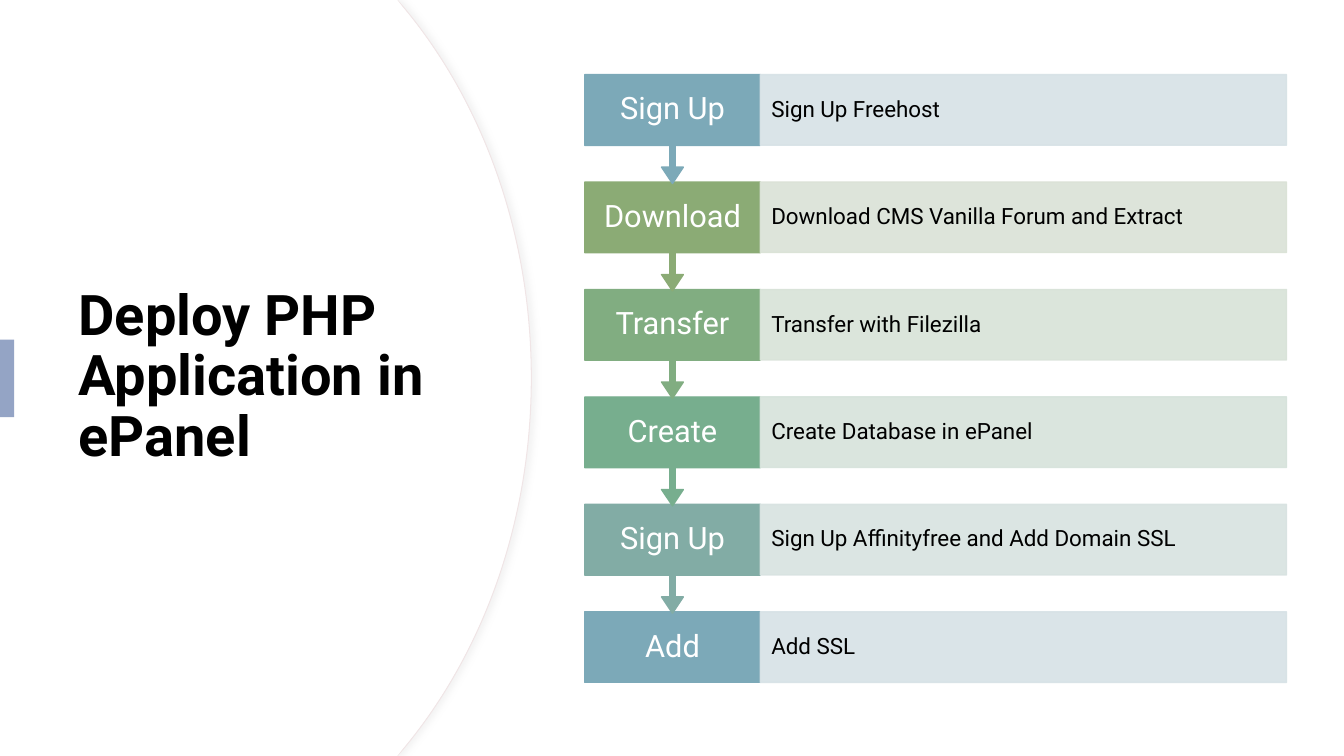
from lxml import etree
from pptx import Presentation
from pptx.dml.color import RGBColor
from pptx.enum import shapes, text
from pptx.oxml.ns import qn
from pptx.util import Inches, Pt

TITLE = "Deploy PHP Application in ePanel"
STEPS = [
    ("Sign Up", "Sign Up Freehost", "blue"),
    ("Download", "Download CMS Vanilla Forum and Extract", "olive"),
    ("Transfer", "Transfer with Filezilla", "green"),
    ("Create", "Create Database in ePanel", "mint"),
    ("Sign Up", "Sign Up Affinityfree and Add Domain SSL", "teal"),
    ("Add", "Add SSL", "blue"),
]
COLORS = {
    "blue": "7CA9B8", "olive": "8BAB75", "green": "81AD81", "mint": "77AE8E", "teal": "82ACA5",
    "blue_pale": "D7E2E6", "olive_pale": "DAE2D6", "green_pale": "D8E3D8",
    "mint_pale": "D6E3DB", "teal_pale": "D8E3E1",
    "white": "FFFFFF", "black": "000000", "accent": "94A4C5", "rim": "F0E5E6", "shadow": "D9D9D9",
}
FONT = "Roboto"
WIDTH, HEIGHT = 13.33, 7.5
STEP_LEFT, STEP_WIDTH, DETAIL_WIDTH = 5.8, 1.74, 5.22
FIRST_TOP, LAST_TOP, ROW_HEIGHT, CALLOUT_HEIGHT = 0.74, 6.07, 0.7, 1.08
CALLOUT_RATIOS = (0.05, 0.1, 0.15, 0.65)


def color(name):
    return RGBColor.from_string(COLORS[name])


def paint(shape, fill, line=None, width=1):
    shape.shadow.inherit = False
    shape.fill.solid()
    shape.fill.fore_color.rgb = color(fill)
    if line:
        shape.line.color.rgb = color(line)
        shape.line.width = Pt(width)
    else:
        shape.line.fill.background()


def add_block(page, kind, left, top, width, height, fill, line=None):
    block = page.shapes.add_shape(kind, Inches(left), Inches(top), Inches(width), Inches(height))
    paint(block, fill, line)
    return block


def write(box, words, size, ink, align, margins, bold=False):
    frame = box.text_frame
    frame.word_wrap = True
    frame.vertical_anchor = text.MSO_ANCHOR.MIDDLE
    frame.margin_left = frame.margin_right = Inches(margins[0])
    frame.margin_top = frame.margin_bottom = Inches(margins[1])
    para = frame.paragraphs[0]
    para.text = words
    para.alignment = align
    para.line_spacing = 0.9
    para.font.name = FONT
    para.font.size = Pt(size)
    para.font.bold = bold
    para.font.color.rgb = color(ink)


def make_translucent(shape, percent):
    for tint in shape._element.spPr.iter(qn("a:srgbClr")):
        etree.SubElement(tint, qn("a:alpha"), val=str(percent * 1000))


def add_soft_shadow(shape):
    effects = shape._element.spPr.find(qn("a:effectLst"))
    shadow = etree.SubElement(effects, qn("a:outerShdw"), blurRad=str(Pt(4)), dist=str(Pt(3)), dir="0")
    tint = etree.SubElement(shadow, qn("a:srgbClr"), val=COLORS["shadow"])
    etree.SubElement(tint, qn("a:alpha"), val="30000")


def bend(segment, controls):
    segment.tag = qn("a:cubicBezTo")
    for position, (x, y) in enumerate(controls):
        point = etree.Element(qn("a:pt"), x=str(Inches(x)), y=str(Inches(y)))
        segment.insert(position, point)


def add_dome(page, right):
    shoulder = right - 1.26
    outline = [(3.94, 0), (shoulder, 0.08), (right, HEIGHT / 2), (shoulder, HEIGHT - 0.08),
               (3.94, HEIGHT), (0, HEIGHT)]
    builder = page.shapes.build_freeform(0, 0)
    builder.add_line_segments([(Inches(x), Inches(y)) for x, y in outline], close=True)
    dome = builder.convert_to_shape()
    segments = list(dome._element.spPr.iter(qn("a:lnTo")))
    upper = [(right - 0.48, 1.02), (right, 2.32)]
    bend(segments[2], upper)
    bend(segments[3], [(x, HEIGHT - y) for x, y in reversed(upper)])
    return dome


def main():
    deck = Presentation()
    deck.slide_width, deck.slide_height = Inches(WIDTH), Inches(HEIGHT)
    page = deck.slides.add_slide(deck.slide_layouts[6])
    rect = shapes.MSO_SHAPE.RECTANGLE

    rim = add_dome(page, 5.27)
    paint(rim, "white", "rim", 0.75)
    add_soft_shadow(rim)
    paint(add_dome(page, 5.26), "white")

    title = page.shapes.add_textbox(Inches(0.68), Inches(1.27), Inches(3.94), Inches(4.95))
    write(title, TITLE, 40, "black", text.PP_ALIGN.LEFT, (0.1, 0.05), bold=True)
    add_block(page, rect, 0, 3.37, 0.14, 0.77, "accent")

    last = len(STEPS) - 1
    pitch = (LAST_TOP - FIRST_TOP) / last
    for index, (name, detail, hue) in reversed(list(enumerate(STEPS))):
        top = FIRST_TOP + index * pitch
        if index == last:
            step = add_block(page, rect, STEP_LEFT, top, STEP_WIDTH, ROW_HEIGHT, hue, hue)
        else:
            step = add_block(page, shapes.MSO_SHAPE.DOWN_ARROW_CALLOUT, STEP_LEFT, top,
                             STEP_WIDTH, CALLOUT_HEIGHT, hue, hue)
            for position, ratio in enumerate(CALLOUT_RATIOS):
                step.adjustments[position] = ratio
        write(step, name, 22, "white", text.PP_ALIGN.CENTER, (0.12, 0.17))

        pale = hue + "_pale"
        panel = add_block(page, rect, STEP_LEFT + STEP_WIDTH, top, DETAIL_WIDTH, ROW_HEIGHT, pale, pale)
        make_translucent(panel, 90)
        write(panel, detail, 16, "black", text.PP_ALIGN.LEFT, (0.11, 0.22))

    deck.save("out.pptx")


if __name__ == "__main__":
    main()
